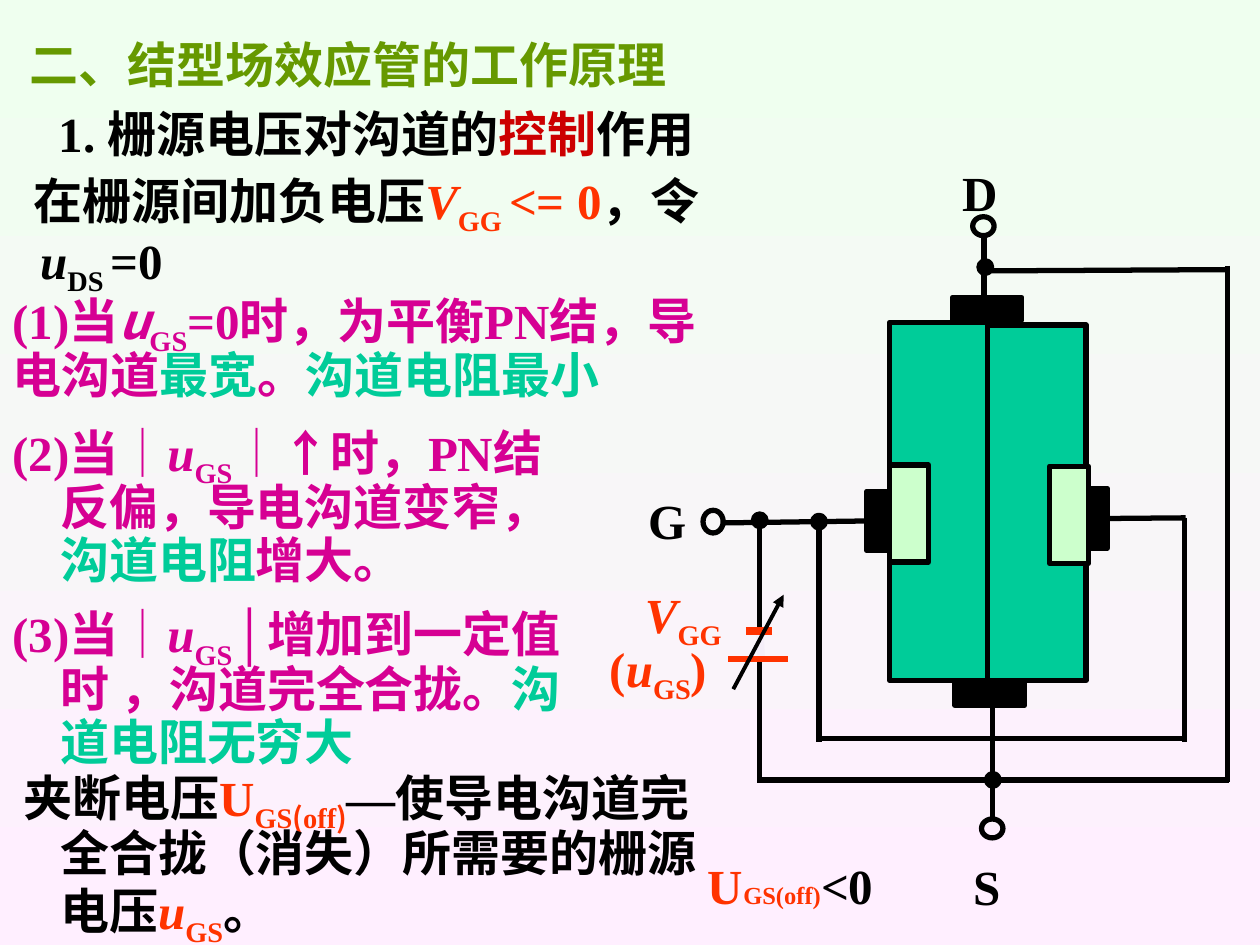
from dataclasses import dataclass
from typing import NamedTuple

import pptx
import pptx.dml.color
import pptx.enum.shapes
import pptx.enum.text
import pptx.oxml.ns
import pptx.util
from lxml import etree

RGB = pptx.dml.color.RGBColor
KIND = pptx.enum.shapes.MSO_SHAPE
ANCHOR = pptx.enum.text.MSO_ANCHOR

BLACK = RGB(0x00, 0x00, 0x00)
OLIVE = RGB(0x66, 0x99, 0x00)
RED = RGB(0xCC, 0x00, 0x00)
ORANGE = RGB(0xFF, 0x33, 0x00)
PINK = RGB(0xD6, 0x00, 0x93)
TEAL = RGB(0x00, 0xCC, 0x99)
PALE = RGB(0xCC, 0xFF, 0xCC)
MIST = RGB(0xF5, 0xEE, 0xF8)
MINT = RGB(0xEF, 0xFF, 0xEF)
ROSE = RGB(0xFF, 0xEF, 0xFF)
SERIF = "Times New Roman"
SANS = "Noto Sans CJK SC"

COLS = 100
CELL = pptx.util.Inches(10) // COLS


@dataclass
class Bit:
    words: str
    tint: RGB = BLACK
    face: str = SERIF
    size: int = 28
    bold: bool = True
    slant: bool = False
    sub: bool = False


@dataclass
class Note:
    col: float
    row: float
    wide: float
    high: float
    bits: list[Bit]
    space: float = 1.0
    left: float = 0
    first: float = 0
    middle: bool = False
    wrap: bool = True


class Part(NamedTuple):
    col: float
    row: float
    wide: float
    high: float
    fill: RGB | None
    kind: int = KIND.RECTANGLE


class Wire(NamedTuple):
    start: tuple[float, float]
    end: tuple[float, float]
    tint: RGB = BLACK
    width: float = 3
    arrow: bool = False


def cells(count: float) -> int:
    return round(count * CELL)


def ring(col: float, row: float, wide: float, high: float) -> Part:
    return Part(col, row, wide, high, None, KIND.OVAL)


def dot(col: float, row: float) -> Part:
    return Part(col - 0.5, row - 0.5, 1, 1, BLACK, KIND.OVAL)


def symbol(name: str, base: str, tint: RGB) -> list[Bit]:
    return [Bit(name, tint, slant=True), Bit(base, tint, sub=True)]


def draw_part(slide, part: Part):
    shape = slide.shapes.add_shape(part.kind, *map(cells, part[:4]))
    shape.shadow.inherit = False
    if part.fill is None:
        shape.fill.background()
    else:
        shape.fill.solid()
        shape.fill.fore_color.rgb = part.fill
    shape.line.color.rgb = BLACK
    shape.line.width = pptx.util.Pt(3)
    return shape


def draw_wire(slide, wire: Wire):
    line = slide.shapes.add_connector(
        pptx.enum.shapes.MSO_CONNECTOR.STRAIGHT, *map(cells, wire.start + wire.end))
    line.line.color.rgb = wire.tint
    line.line.width = pptx.util.Pt(wire.width)
    qn = pptx.oxml.ns.qn
    if wire.arrow:
        etree.SubElement(line.line._get_or_add_ln(), qn("a:tailEnd"), type="triangle")
    etree.SubElement(line._element.spPr, qn("a:effectLst"))
    return line


def draw_note(slide, note: Note) -> None:
    box = slide.shapes.add_textbox(*map(cells, (note.col, note.row, note.wide, note.high)))
    frame = box.text_frame
    frame.word_wrap = note.wrap
    frame.vertical_anchor = ANCHOR.MIDDLE if note.middle else ANCHOR.TOP
    para = frame.paragraphs[0]
    para.line_spacing = note.space
    props = para._p.get_or_add_pPr()
    props.set("marL", str(cells(note.left)))
    props.set("indent", str(cells(note.first)))
    for bit in note.bits:
        run = para.add_run()
        run.text = bit.words
        font = run.font
        font.name = bit.face
        font.size = pptx.util.Pt(bit.size)
        font.bold = bit.bold
        font.italic = bit.slant
        font.color.rgb = bit.tint
        look = run._r.get_or_add_rPr()
        if bit.sub:
            look.set("baseline", "-25000")
        etree.SubElement(look, pptx.oxml.ns.qn("a:ea"), typeface=SANS)


LEFT = Part(68.8, 39, 1.8, 4.7, BLACK)
RIGHT = Part(86.1, 38.8, 1.8, 4.7, BLACK)
ENDS = [Part(75.6, 23.6, 5.5, 1.8, BLACK), Part(75.8, 54.2, 5.5, 1.8, BLACK)]
LEADS = [Wire((57.4, 41.5), (68.8, 41.35)), Wire((87.9, 41.15), (94.1, 41.1))]
WIRES = [
    Wire((78.1, 18.6), (78.1, 23.6)),
    Wire((78.8, 56), (78.8, 64.9)),
    Wire((94, 41.1), (94, 58.9)),
    Wire((65, 58.6), (94.1, 58.6)),
    Wire((65, 41.1), (65, 58.9)),
    Wire((60.3, 41.3), (60.3, 62.1)),
    Wire((60.1, 61.9), (97.5, 61.9)),
    Wire((97.4, 21.1), (97.4, 62.1)),
    Wire((78.2, 21.5), (97.5, 21.4)),
    Wire((60.3, 50.2), (60.4, 52.3), MIST, 4.5),
    Wire((57.8, 52.3), (62.5, 52.3), ORANGE),
    Wire((59.2, 50.1), (61.3, 50.1), ORANGE, 4.5),
    Wire((58.2, 54.7), (62.2, 47.2), BLACK, 2.25, True),
]
NODES = [
    ring(77.2, 17.2, 1.7, 1.5), ring(77.9, 65, 1.7, 1.5), ring(55.8, 40.5, 1.6, 1.8),
    dot(65, 41.4), dot(60.3, 41.3), dot(78.8, 61.9), dot(78.2, 21.2),
]
BODY = [
    Part(70.6, 25.6, 8, 28.4, TEAL), Part(70.6, 36.9, 3.1, 7.7, PALE),
    Part(78.4, 25.8, 7.8, 28.2, TEAL), Part(83.3, 37, 3.1, 7.7, PALE),
]

NOTES = [
    Note(50.5, 38.4, 8, 5.7, [Bit("G")]),
    Note(76.3, 67.5, 11.1, 5.7, [Bit("S")]),
    Note(75.4, 12.4, 6, 5.7, [Bit("D")]),
    Note(50.2, 45.9, 8.9, 6.3, symbol("V", "GG", ORANGE)),
    Note(47.4, 50.2, 11.7, 6.3,
         [Bit("(", ORANGE), *symbol("u", "GS", ORANGE), Bit(")", ORANGE)]),
    Note(0, 0, 70.4, 8.3,
         [Bit(" ", size=44), Bit("二、结型场效应管的工作原理", OLIVE, SANS)], middle=True),
    Note(2, 8.3, 70.8, 4.2,
         [Bit(" ", size=48, bold=False), Bit("1. 栅源电压对沟道的"),
          Bit("控制", RED), Bit("作用")], 0.7, middle=True),
    Note(-1.6, 13.1, 58.1, 10.1,
         [Bit("在栅源间加负电压"), *symbol("V", "GG ", ORANGE), Bit("<= 0", ORANGE),
          Bit("，令"), *symbol("u", "DS ", BLACK), Bit("=0")], 0.9, 3.8, -0.5),
    Note(0, 33.1, 45.8, 13.7,
         [Bit("(2)", PINK), Bit("当│", PINK, SANS), *symbol("u", "GS", PINK),
          Bit("│↑时，", PINK, SANS), Bit("PN", PINK),
          Bit("结反偏，导电沟道变窄，", PINK, SANS), Bit("沟道电阻", TEAL, SANS),
          Bit("增大。", PINK, SANS)], 0.9, 3.8, -3.8),
    Note(0, 47.5, 46.8, 14,
         [Bit("(3)当│", PINK), *symbol("u", "GS", PINK), Bit("│增加", PINK),
          Bit("到一定值时 ，沟道完全合拢。", PINK, SANS),
          Bit("沟道电阻无穷大", TEAL)], 0.9, 3.8, -3.8),
    Note(0, 60.5, 56.3, 14.5,
         [Bit("夹断电压", face=SANS), Bit("U", ORANGE), Bit("GS", ORANGE, sub=True),
          Bit("(", ORANGE, SANS, sub=True), Bit("off", ORANGE, sub=True),
          Bit(")", ORANGE, SANS, sub=True), Bit("—"),
          Bit("使导电沟道完全合拢（消失）所需要的栅源电压", face=SANS),
          *symbol("u", "GS", ORANGE), Bit("。", face=SANS)], 0.9, 3.8, -2.9),
    Note(0, 22.6, 57.3, 10,
         [Bit("(1)", PINK), Bit("当", PINK, SANS), Bit("u", PINK, SANS, slant=True),
          Bit("GS", PINK, sub=True), Bit("=0", PINK), Bit("时，为平衡", PINK, SANS),
          Bit("PN", PINK), Bit("结，导电沟道", PINK, SANS), Bit("最宽", TEAL, SANS),
          Bit("。", PINK, SANS), Bit("沟道电阻最小", TEAL)], 0.9),
    Note(55.2, 67.4, 15.1, 5.7,
         [Bit("U", ORANGE), Bit("GS(off)", ORANGE, size=14), Bit("<0")], wrap=False),
]


def main() -> None:
    deck = pptx.Presentation()
    deck.slide_width = cells(COLS)
    deck.slide_height = cells(75)
    slide = deck.slides.add_slide(deck.slide_layouts[6])
    back = slide.background.fill
    back.gradient()
    back.gradient_angle = 270
    for stop, tint in zip(back.gradient_stops, (MINT, ROSE)):
        stop.color.rgb = tint
    for part in ENDS:
        draw_part(slide, part)
    left, right = (draw_part(slide, part) for part in (LEFT, RIGHT))
    gate, loop = (draw_wire(slide, wire) for wire in LEADS)
    gate.end_connect(left, 1)
    loop.begin_connect(right, 3)
    for wire in WIRES:
        draw_wire(slide, wire)
    for part in NODES + BODY:
        draw_part(slide, part)
    for note in NOTES:
        draw_note(slide, note)
    deck.save("out.pptx")


if __name__ == "__main__":
    main()
